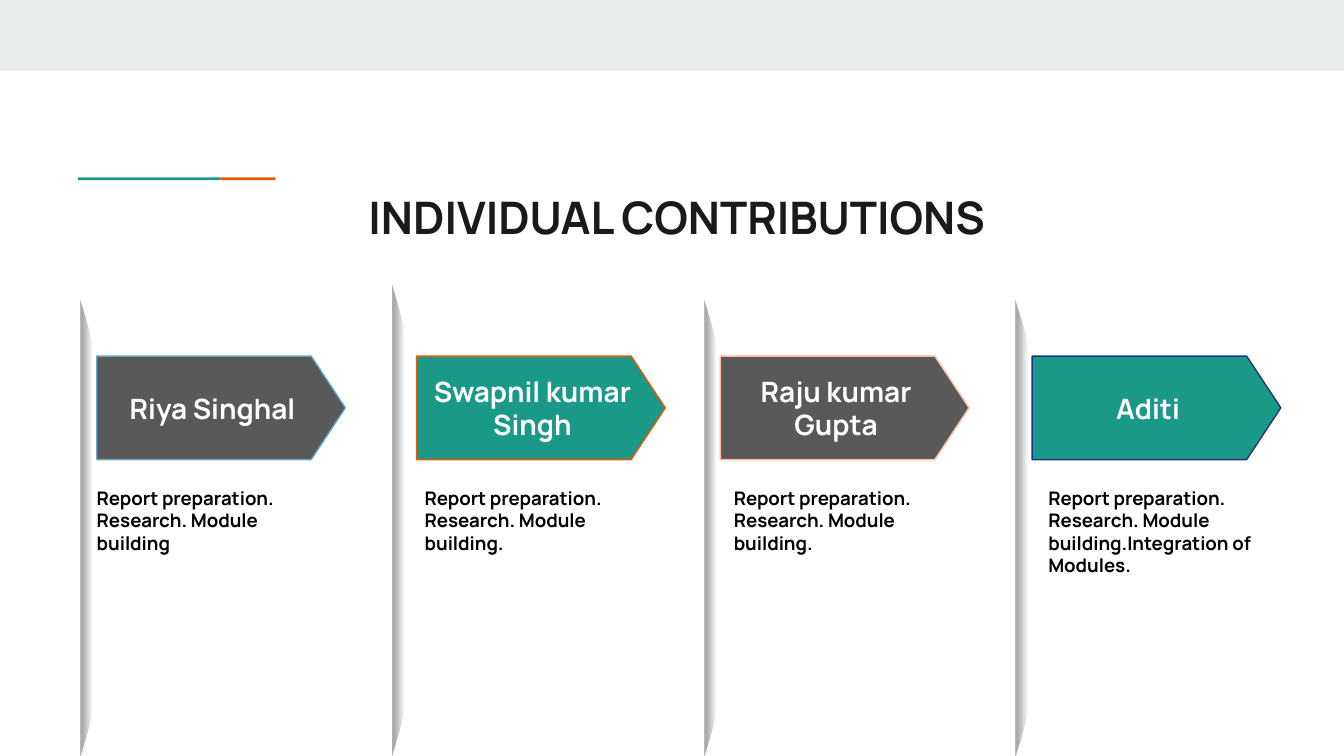
from lxml.etree import SubElement
from pptx import Presentation
from pptx.dml.color import RGBColor
from pptx.enum.shapes import MSO_SHAPE
from pptx.enum.text import MSO_ANCHOR, PP_ALIGN
from pptx.oxml.ns import qn
from pptx.util import Inches, Pt

COLORS = {
    "band": "E9EDEE", "teal": "1A9988", "orange": "EB5600", "gray": "595959",
    "title": "1A1A1A", "black": "000000", "white": "FFFFFF",
    "blue": "6AA4C8", "peach": "FFB8A2", "navy": "1C3678",
}
FONT = "Manrope"

# Column: name, tag offset, tag fill, tag outline, fold top and height,
# text offset, text width, paragraphs
MEMBERS = [
    ("Riya Singhal", 0.12, "gray", "blue", 2.23, 3.41, 0.12, 1.93,
     ["Report preparation.", "Research. Module", "building"]),
    ("Swapnil kumar Singh", 0.18, "teal", "orange", 2.12, 3.51, 0.24, 1.78,
     ["Report preparation.", "Research. Module building."]),
    ("Raju kumar Gupta", 0.12, "gray", "peach", 2.23, 3.41, 0.22, 1.72,
     ["Report preparation. Research. Module building."]),
    ("Aditi", 0.12, "teal", "navy", 2.23, 3.41, 0.24, 1.72,
     ["Report preparation.",
      "Research. Module building.Integration of Modules."]),
]
FIRST_COLUMN, COLUMN_PITCH = 0.6, 2.32


def color(name):
    return RGBColor.from_string(COLORS[name])


def add_box(slide, kind, left, top, width, height, fill, outline=None):
    box = slide.shapes.add_shape(
        kind, Inches(left), Inches(top), Inches(width), Inches(height))
    box.shadow.inherit = False
    box.fill.solid()
    box.fill.fore_color.rgb = color(fill)
    if outline:
        box.line.color.rgb = color(outline)
        box.line.width = Pt(0.75)
    else:
        box.line.fill.background()
    return box


def write(frame, lines, size, ink, align, margins):
    frame.word_wrap = True
    frame.margin_left, frame.margin_right = (Inches(m) for m in margins)
    frame.margin_top = frame.margin_bottom = Inches(0.04)
    for index, line in enumerate(lines):
        paragraph = frame.add_paragraph() if index else frame.paragraphs[0]
        paragraph.text = line
        paragraph.alignment = align
        paragraph.font.name = FONT
        paragraph.font.size = Pt(size)
        paragraph.font.bold = True
        paragraph.font.color.rgb = color(ink)


def add_text(slide, left, top, width, height, lines, size, ink, align, margins):
    box = slide.shapes.add_textbox(
        Inches(left), Inches(top), Inches(width), Inches(height))
    write(box.text_frame, lines, size, ink, align, margins)
    return box.text_frame


def add_header(slide, left, top, width):
    # Band, two-colour accent line and title
    add_box(slide, MSO_SHAPE.RECTANGLE, left, top, width, 0.53, "band")
    for offset, length, fill in [(0.58, 1.06, "teal"), (1.64, 0.41, "orange")]:
        add_box(slide, MSO_SHAPE.RECTANGLE,
                left + offset, top + 1.32, length, 0.02, fill)
    title = add_text(slide, left + 0.63, top + 1.42, width - 1.26, 0.34,
                     ["INDIVIDUAL CONTRIBUTIONS"], 24, "title",
                     PP_ALIGN.CENTER, (0.07, 0))
    title.paragraphs[0].line_spacing = 0.9


def bezier(points, steps=12):
    a, b, c, d = points
    for step in range(1, steps + 1):
        t = step / steps
        u = 1 - t
        yield tuple(u**3 * p + 3 * u * u * t * q + 3 * u * t * t * r + t**3 * s
                    for p, q, r, s in zip(a, b, c, d))


def add_fold(slide, left, top, height):
    # Curved page edge, symmetric about its middle
    upper = [(0.01, 0.01), (0.15, 0.14), (0.24, 0.31), (0.24, 0.5)]
    lower = [(x, 1 - y) for x, y in reversed(upper)]
    outline = [upper[0], *bezier(upper), *bezier(lower), (0, 1)]
    builder = slide.shapes.build_freeform(Inches(left), Inches(top))
    builder.add_line_segments(
        [(Inches(left + x), Inches(top + y * height)) for x, y in outline])
    fold = builder.convert_to_shape()
    fold.shadow.inherit = False
    fold.line.fill.background()
    fold.fill.gradient()
    fold.fill.gradient_angle = 180
    # Black fading out to the right
    stops = fold._element.spPr.find(qn("a:gradFill")).find(qn("a:gsLst"))
    for stop in list(stops):
        stops.remove(stop)
    for position, alpha in [(0, 0), (61, 0), (92, 33), (100, 33)]:
        stop = SubElement(stops, qn("a:gs"), pos=str(position * 1000))
        ink = SubElement(stop, qn("a:srgbClr"), val=COLORS["black"])
        SubElement(ink, qn("a:alpha"), val=str(alpha * 1000))


def add_member(slide, left, member):
    (name, tag_offset, fill, outline, fold_top, fold_height,
     text_offset, text_width, tasks) = member
    # Name tag
    tag = add_box(slide, MSO_SHAPE.PENTAGON, left + tag_offset, 2.65,
                  1.85, 0.77, fill, outline)
    tag.adjustments[0] = 0.33
    tag.text_frame.vertical_anchor = MSO_ANCHOR.MIDDLE
    write(tag.text_frame, [name], 15, "white", PP_ALIGN.CENTER, (0.07, 0.07))
    add_fold(slide, left, fold_top, fold_height)
    # Contributions
    add_text(slide, left + text_offset, 3.58, text_width, 1.57, tasks,
             10, "black", PP_ALIGN.LEFT, (0, 0))


def main():
    deck = Presentation()
    # Widescreen, 16:9
    deck.slide_width = Inches(10)
    deck.slide_height = deck.slide_width * 9 // 16
    slide = deck.slides.add_slide(deck.slide_layouts[6])
    add_header(slide, 0, 0, 10)
    for index, member in enumerate(MEMBERS):
        add_member(slide, FIRST_COLUMN + index * COLUMN_PITCH, member)
    deck.save("out.pptx")


if __name__ == "__main__":
    main()
